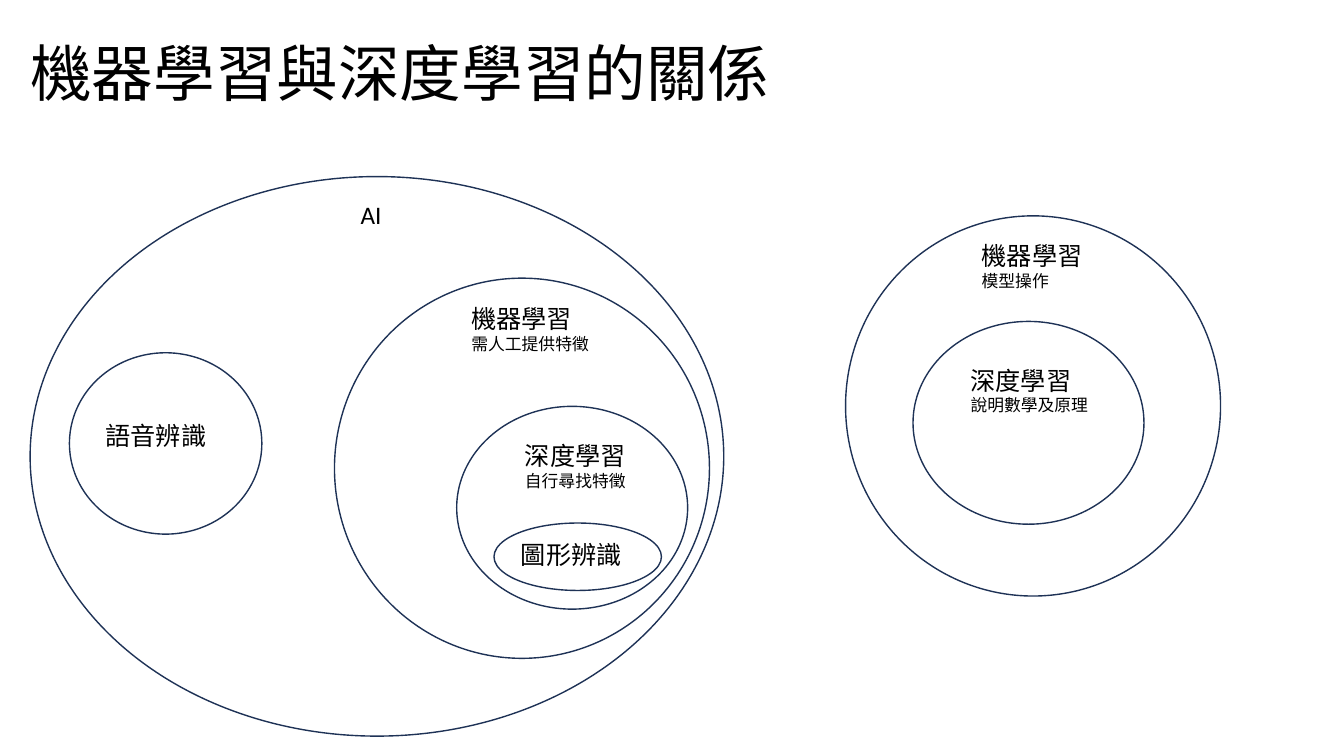
import pptx
import pptx.dml.color
import pptx.enum.shapes
import pptx.enum.text
import pptx.util

Cm = pptx.util.Cm
Pt = pptx.util.Pt


def color(hex_code):
    return pptx.dml.color.RGBColor.from_string(hex_code)


def write(paragraph, text, size):
    run = paragraph.add_run()
    run.text = text
    for name, value in {"name": "Calibri", "size": Pt(size), "bold": False}.items():
        setattr(run.font, name, value)
    run.font.color.rgb = color("000000")


deck = pptx.Presentation()
deck.slide_width = Cm(33.87)
deck.slide_height = Cm(19.05)
slide = deck.slides.add_slide(deck.slide_layouts[5])

heading = slide.shapes.title
heading_place = {"left": 0.51, "top": 0.18, "width": 29.21, "height": 3.51}
for name, value in heading_place.items():
    setattr(heading, name, Cm(value))
heading_format = {
    "vertical_anchor": pptx.enum.text.MSO_ANCHOR.MIDDLE,
    "auto_size": pptx.enum.text.MSO_AUTO_SIZE.NONE,
    "word_wrap": True,
}
for name, value in heading_format.items():
    setattr(heading.text_frame, name, value)
heading_line = heading.text_frame.paragraphs[0]
heading_line.alignment = pptx.enum.text.PP_ALIGN.LEFT
heading_line.line_spacing = 0.9
write(heading_line, "機器學習與深度學習的關係", 44)

# Sizes shared by both diagrams: the right one repeats the two nested fields
machine_size = (9.45, 9.58)
deep_size = (5.82, 5.11)

# Each field: ellipse position, ellipse size, label position, label width, label lines
fields = [
    ((0.76, 4.45), (17.48, 14.1), (8.84, 4.9), 1.04, ["AI"]),
    ((8.43, 7.01), machine_size, (11.63, 7.52), 3.51, ["機器學習", "需人工提供特徵"]),
    ((11.51, 10.24), deep_size, (12.98, 10.97), 3.07, ["深度學習", "自行尋找特徵"]),
    ((1.75, 8.89), (4.85, 4.57), (2.41, 10.46), 3.07, ["語音辨識"]),
    ((12.45, 13.18), (4.22, 1.7), (12.88, 13.46), 3.07, ["圖形辨識"]),
    ((21.31, 5.44), machine_size, (24.49, 5.94), 3.07, ["機器學習", "模型操作"]),
    ((23.01, 8.1), deep_size, (24.21, 9.07), 3.89, ["深度學習", "說明數學及原理"]),
]
label_heights = {1: 1.02, 2: 1.55}
label_format = {
    "word_wrap": False,
    "auto_size": pptx.enum.text.MSO_AUTO_SIZE.SHAPE_TO_FIT_TEXT,
}

for position, size, label_position, label_width, lines in fields:
    field = slide.shapes.add_shape(
        pptx.enum.shapes.MSO_SHAPE.OVAL, *map(Cm, position + size))
    field.shadow.inherit = False
    field.fill.background()
    field.line.color.rgb = color("1E3256")
    field.line.width = Pt(1)

    label_size = (label_width, label_heights[len(lines)])
    label = slide.shapes.add_textbox(*map(Cm, label_position + label_size)).text_frame
    for name, value in label_format.items():
        setattr(label, name, value)
    write(label.paragraphs[0], lines[0], 18)
    for detail in lines[1:]:
        write(label.add_paragraph(), detail, 12)

deck.save("out.pptx")
